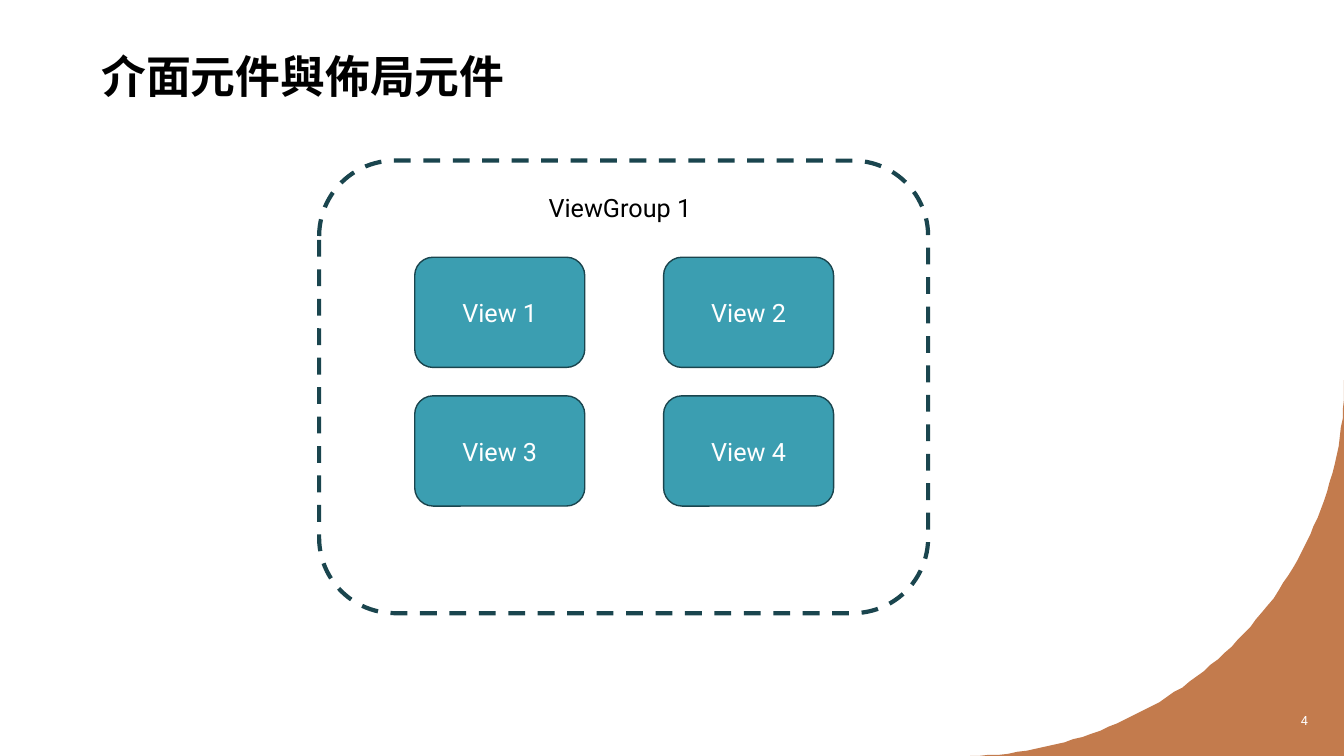
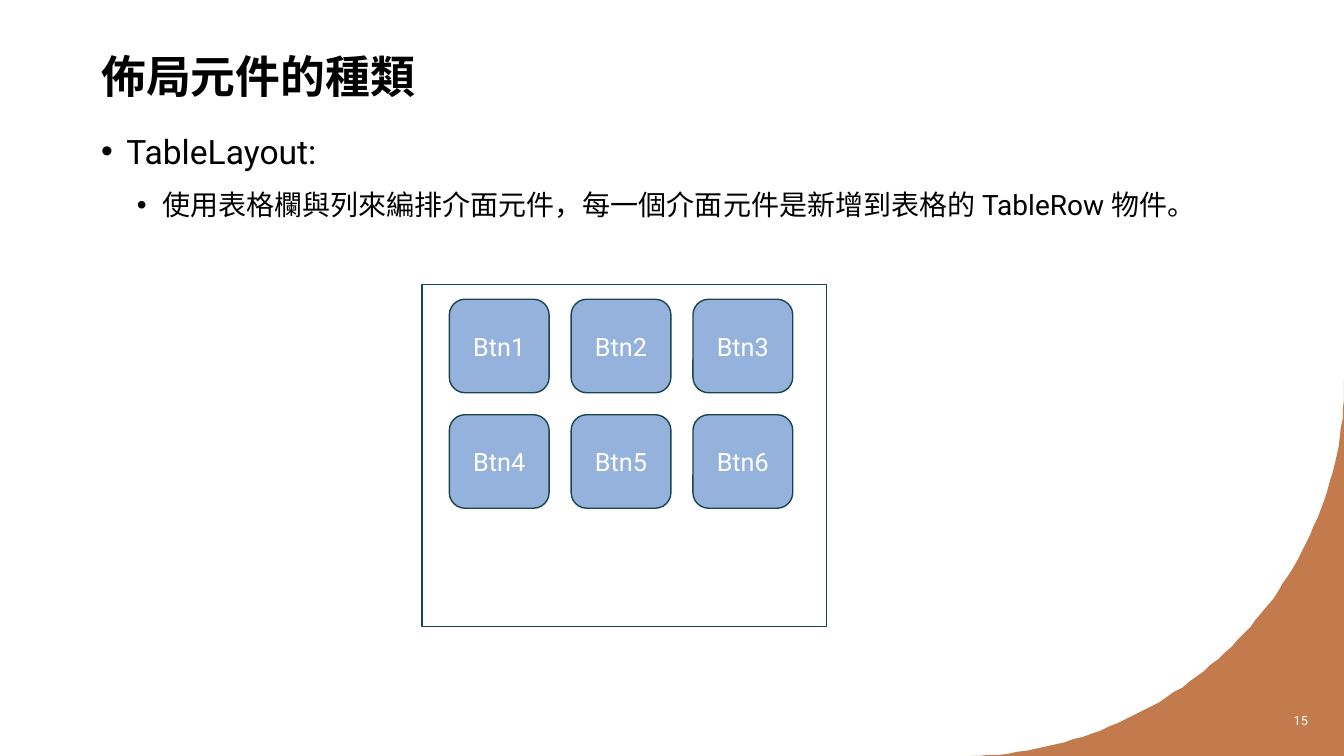
import lxml.etree
import pptx
import pptx.dml.color
import pptx.enum.dml
import pptx.enum.shapes
import pptx.enum.text
import pptx.oxml.ns
import pptx.util

ALIGN = pptx.enum.text.PP_ALIGN
ANCHOR = pptx.enum.text.MSO_ANCHOR
SHAPE = pptx.enum.shapes.MSO_SHAPE
DASH = pptx.enum.dml.MSO_LINE


def px(length):
    return pptx.util.Emu(length * 9525)


def color(value):
    return pptx.dml.color.RGBColor.from_string(value)


def cubic(start, control1, control2, end, steps=60):
    points = []
    for step in range(steps + 1):
        t = step / steps
        weights = ((1 - t) ** 3, 3 * t * (1 - t) ** 2, 3 * t ** 2 * (1 - t), t ** 3)
        corners = (start, control1, control2, end)
        points.append(tuple(
            sum(weight * corner[axis] for weight, corner in zip(weights, corners))
            for axis in (0, 1)))
    return points


class Deck:
    FONT = "Roboto"
    BLACK = "000000"
    WHITE = "FFFFFF"
    OUTLINE = "1A454E"
    CORNER = "C37B4D"
    LEVELS = ((24, 24, 0), (20, 58, 5))
    HANGING = 24

    def __init__(self):
        self.presentation = pptx.Presentation()
        self.presentation.slide_width = px(1280)
        self.presentation.slide_height = px(720)
        self.slide = None

    def start_slide(self, title, number):
        self.slide = self.presentation.slides.add_slide(self.presentation.slide_layouts[6])
        self.corner()
        heading = self.text(title, 87, 37, 1087, 65, 32, anchor=ANCHOR.BOTTOM, bold=True)
        heading.paragraphs[0].line_spacing = 1.1
        self.text(number, 1212, 667, 43, 38, 9, self.WHITE, ALIGN.RIGHT, ANCHOR.MIDDLE)

    def corner(self):
        curve = cubic((932, 720), (1120, 711), (1270, 564), (1280, 380))
        builder = self.slide.shapes.build_freeform(1280, 362, scale=px(1))
        builder.add_line_segments([(1280, 720), (924, 720)] + curve, close=True)
        corner = builder.convert_to_shape()
        corner.shadow.inherit = False
        corner.fill.solid()
        corner.fill.fore_color.rgb = color(self.CORNER)
        corner.line.fill.background()

    def style(self, paragraph, size, text_color, bold=False):
        font = paragraph.font
        font.name = self.FONT
        font.size = pptx.util.Pt(size)
        font.bold = bold
        font.color.rgb = color(text_color)

    def text(self, words, left, top, width, height, size, text_color=BLACK,
             align=ALIGN.LEFT, anchor=ANCHOR.TOP, bold=False, wrap=True):
        box = self.slide.shapes.add_textbox(px(left), px(top), px(width), px(height))
        frame = box.text_frame
        frame.word_wrap = wrap
        frame.vertical_anchor = anchor
        frame.text = words
        frame.paragraphs[0].alignment = align
        self.style(frame.paragraphs[0], size, text_color, bold)
        return frame

    def bullets(self, items, left, top, width, height):
        box = self.slide.shapes.add_textbox(px(left), px(top), px(width), px(height))
        frame = box.text_frame
        frame.word_wrap = True
        for index, (level, words) in enumerate(items):
            paragraph = frame.add_paragraph() if index else frame.paragraphs[0]
            paragraph.text = words
            size, indent, space = self.LEVELS[level]
            paragraph.level = level
            paragraph.line_spacing = 1.3
            paragraph.space_before = pptx.util.Pt(space)
            properties = paragraph._p.get_or_add_pPr()
            properties.set("marL", str(px(indent)))
            properties.set("indent", str(px(-self.HANGING)))
            lxml.etree.SubElement(properties, pptx.oxml.ns.qn("a:buFont"), typeface="Arial")
            lxml.etree.SubElement(properties, pptx.oxml.ns.qn("a:buChar"), char="•")
            self.style(paragraph, size, self.BLACK)

    def outline(self, kind, left, top, width, height, weight=1, dash=None):
        shape = self.slide.shapes.add_shape(kind, px(left), px(top), px(width), px(height))
        shape.shadow.inherit = False
        shape.fill.background()
        shape.line.color.rgb = color(self.OUTLINE)
        shape.line.width = pptx.util.Pt(weight)
        if dash:
            shape.line.dash_style = dash
        return shape

    def tile(self, words, left, top, width, height, fill):
        tile = self.outline(SHAPE.ROUNDED_RECTANGLE, left, top, width, height)
        tile.fill.solid()
        tile.fill.fore_color.rgb = color(fill)
        frame = tile.text_frame
        frame.vertical_anchor = ANCHOR.MIDDLE
        frame.text = words
        frame.paragraphs[0].alignment = ALIGN.CENTER
        self.style(frame.paragraphs[0], 18, self.WHITE)

    def tile_grid(self, prefix, count, columns, origin, size, gap, fill):
        for index in range(count):
            row, column = divmod(index, columns)
            left = origin[0] + column * (size[0] + gap[0])
            top = origin[1] + row * (size[1] + gap[1])
            self.tile(f"{prefix}{index + 1}", left, top, *size, fill)


def main():
    deck = Deck()

    deck.start_slide("介面元件與佈局元件", "4")
    deck.outline(SHAPE.ROUNDED_RECTANGLE, 304, 153, 580, 431, 3, DASH.DASH)
    deck.text("ViewGroup 1", 513, 178, 162, 38, 18, wrap=False)
    deck.tile_grid("View ", 4, 2, (395, 245), (162, 105), (75, 27), "3B9EB1")

    deck.start_slide("佈局元件的種類", "15")
    deck.bullets([
        (0, "TableLayout:"),
        (1, "使用表格欄與列來編排介面元件，每一個介面元件是新增到表格的 TableRow 物件。"),
    ], 87, 108, 1087, 503)
    deck.outline(SHAPE.RECTANGLE, 402, 271, 385, 326)
    deck.tile_grid("Btn", 6, 3, (428, 285), (95, 89), (21, 21), "94B2DB")

    deck.presentation.save("out.pptx")


if __name__ == "__main__":
    main()
